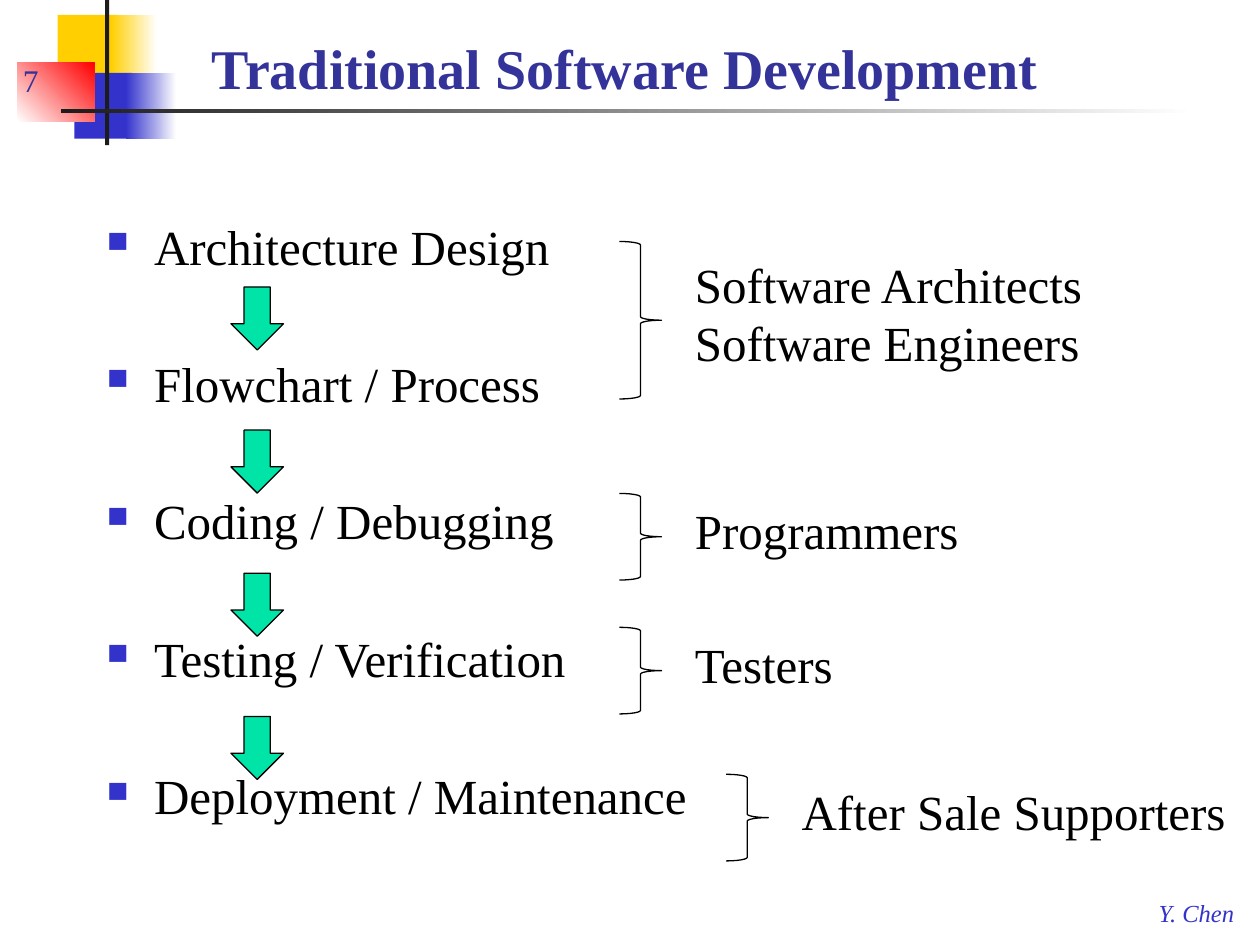
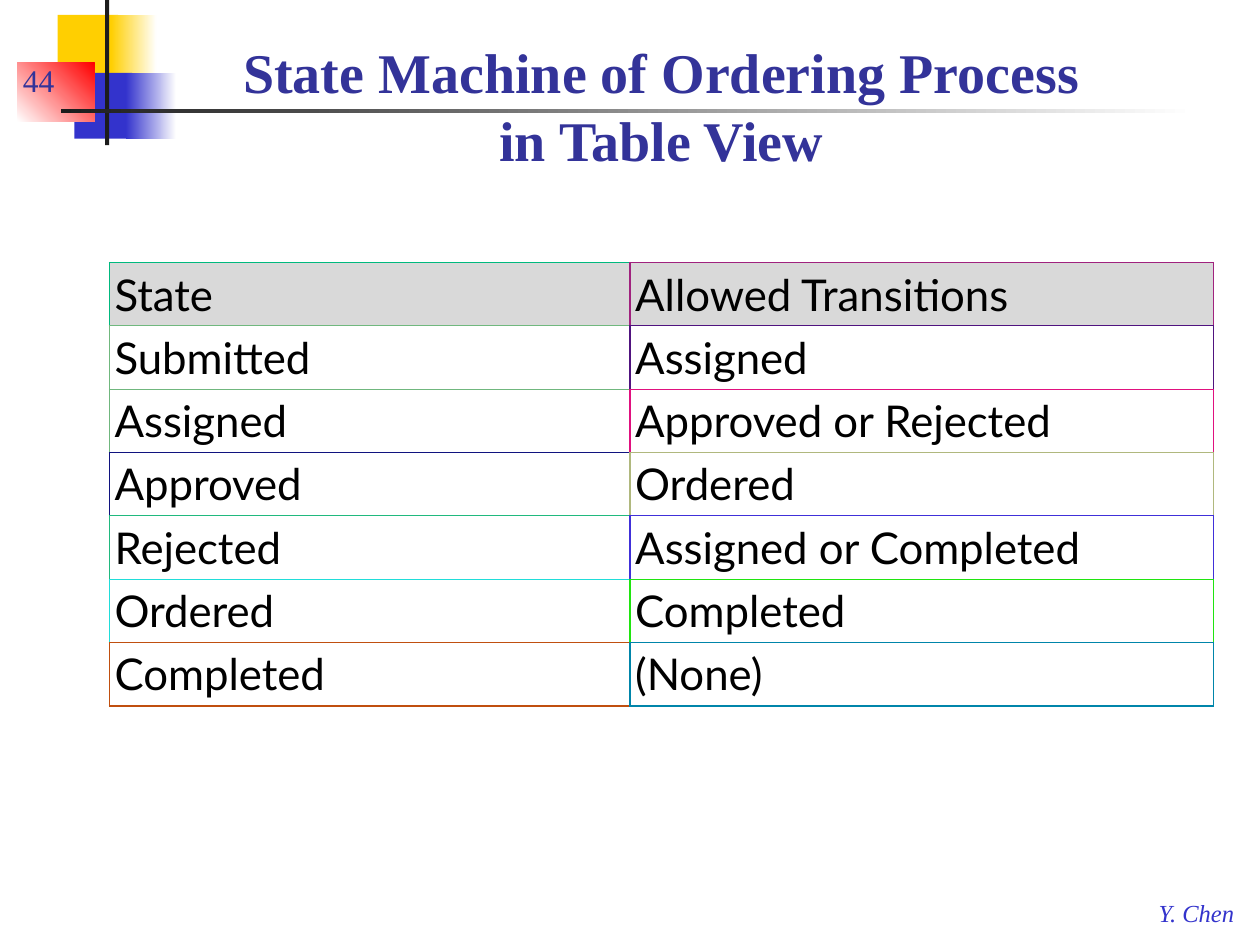
from lxml import etree
from pptx import Presentation
from pptx.dml.color import RGBColor
from pptx.enum import shapes, text
from pptx.oxml import ns
from pptx.util import Pt

COLORS = {
    "yellow": "FFCF01", "blue": "3333CC", "red": "FF0000", "white": "FFFFFF",
    "ink": "1C1C1C", "title": "333399", "black": "000000",
    "arrow": "00E4A8", "header": "D9D9D9",
}
SERIF, SANS = "Times New Roman", "Lato"
LINE_HEIGHT, INSET = 33.7, 3.6
PRESET = shapes.MSO_SHAPE


def add_preset(slide, preset, at, fill=None, line=None, angle=0):
    """Add a preset shape; fill is a colour name, a pair of names (gradient) or None."""
    shape = slide.shapes.add_shape(preset, *map(Pt, at))
    shape.shadow.inherit = False
    if fill is None:
        shape.fill.background()
    elif isinstance(fill, tuple):
        shape.fill.gradient()
        shape.fill.gradient_angle = angle
        for stop, name in zip(shape.fill.gradient_stops, fill):
            stop.color.rgb = RGBColor.from_string(COLORS[name])
    else:
        shape.fill.solid()
        shape.fill.fore_color.rgb = RGBColor.from_string(COLORS[fill])
    if line:
        shape.line.color.rgb = RGBColor.from_string(COLORS[line])
        shape.line.width = Pt(0.75)
    else:
        shape.line.fill.background()


def add_text(slide, at, lines, size, color="black", wrap=False, bottom=False,
             bold=None, italic=None, align=None):
    """Add a text box with one paragraph per line and return its paragraphs."""
    frame = slide.shapes.add_textbox(*map(Pt, at)).text_frame
    frame.word_wrap = wrap
    frame.auto_size = (text.MSO_AUTO_SIZE.NONE if wrap
                       else text.MSO_AUTO_SIZE.SHAPE_TO_FIT_TEXT)
    frame.vertical_anchor = text.MSO_ANCHOR.BOTTOM if bottom else text.MSO_ANCHOR.TOP
    for i, line in enumerate(lines):
        paragraph = frame.add_paragraph() if i else frame.paragraphs[0]
        paragraph.text = line
        paragraph.alignment = align
        font = paragraph.font
        font.name, font.size, font.bold, font.italic = SERIF, Pt(size), bold, italic
        font.color.rgb = RGBColor.from_string(COLORS[color])
    return frame.paragraphs


prs = Presentation()
prs.slide_width, prs.slide_height = Pt(720), Pt(540)

# Shared decoration, page number, author and title
DECORATION = [
    ((33, 8.5, 34.5, 37.5), "yellow", 0),
    ((63.5, 8.5, 26, 37.5), ("yellow", "white"), 0),
    ((42.5, 41.7, 33, 37.5), "blue", 0),
    ((72, 41.7, 28.8, 37.5), ("blue", "white"), 0),
    ((10, 36, 44, 33.5), ("white", "red"), 45),
    ((60, 0, 2.4, 83), "ink", 0),
    ((34.8, 62.2, 648, 2.2), ("ink", "white"), 0),
]
PAGES = [
    ("7", "Traditional Software Development", (114, 12, 600, 49), None),
    ("44", "State Machine of Ordering Process\nin Table View", (78, 6, 600, 96),
     text.PP_ALIGN.CENTER),
]
slides = []
for number, title, title_at, align in PAGES:
    slide = prs.slides.add_slide(prs.slide_layouts[6])
    slides.append(slide)
    for at, fill, angle in DECORATION:
        add_preset(slide, PRESET.RECTANGLE, at, fill, angle=angle)
    add_text(slide, (655, 509.8, 59, 24), ["Y. Chen"], 14, "blue", italic=True)
    add_text(slide, title_at, [title], 32, "title", wrap=True, bottom=True,
             bold=True, align=align)
    add_text(slide, (6, 24, 56, 36), [number], 18, "title", wrap=True, bottom=True)
development, ordering = slides

# Development steps, with arrows between them
STEPS = ["Architecture Design", "Flowchart / Process", "Coding / Debugging",
         "Testing / Verification", "Deployment / Maintenance"]
STEP_GAP = 5.6
steps = add_text(development, (54, 120, 651, 363), STEPS, 28, wrap=True)
for i, step in enumerate(steps):
    step.space_before = Pt(LINE_HEIGHT + 2 * STEP_GAP if i else STEP_GAP)
    props = step._p.get_or_add_pPr()
    props.set("marL", str(Pt(27)))
    props.set("indent", str(-Pt(27)))
    bullet_color = etree.Element(ns.qn("a:buClr"))
    etree.SubElement(bullet_color, ns.qn("a:srgbClr"), val=COLORS["blue"])
    bullet_size = etree.Element(ns.qn("a:buSzPct"), val="60000")
    bullet = etree.Element(ns.qn("a:buChar"), char="■")
    font_props = props.find(ns.qn("a:defRPr"))
    for part in (bullet_color, bullet_size, bullet):
        font_props.addprevious(part)
for i in range(len(STEPS) - 1):
    add_preset(development, PRESET.DOWN_ARROW, (132, 164 + 81.8 * i, 30, 36),
               "arrow", "black")

# Roles, each beside a brace: left, top, height, text width
ROLES = [
    (354, 138, 90, 237, ["Software Architects", "Software Engineers"]),
    (354, 282, 49.5, 167, ["Programmers"]),
    (354, 358.5, 49.5, 94, ["Testers"]),
    (415, 442.5, 49.5, 259, ["After Sale Supporters"]),
]
for left, top, height, width, roles in ROLES:
    add_preset(development, PRESET.RIGHT_BRACE, (left, top, 24, height), line="black")
    role_height = 2 * INSET + LINE_HEIGHT * len(roles)
    role_top = top + (height - role_height) / 2 - 4
    add_text(development, (left + 36, role_top, width, role_height), roles, 28)

# Transition table; every row ends with the border colours of its two cells
TRANSITIONS = [
    ("State", "Allowed Transitions", "00B97E", "A0227E"),
    ("Submitted", "Assigned", "70B87E", "50137F"),
    ("Assigned", "Approved or Rejected", "70B77E", "E0117F"),
    ("Approved", "Ordered", "10137F", "B0B87E"),
    ("Rejected", "Assigned or Completed", "20B97E", "4030D9"),
    ("Ordered", "Completed", "20DDD9", "20E410"),
    ("Completed", "(None)", "C04F0F", "0085AA"),
]
COLUMN_WIDTHS = (297.5, 333.5)
ROW_HEIGHT = 36.2
last = len(TRANSITIONS) - 1
table = ordering.shapes.add_table(
    len(TRANSITIONS), 2, Pt(62.5), Pt(150), Pt(sum(COLUMN_WIDTHS)),
    Pt(ROW_HEIGHT * len(TRANSITIONS))).table
table.first_row = table.horz_banding = False
for column, width in zip(table.columns, COLUMN_WIDTHS):
    column.width = Pt(width)
for r, (*words, left_color, right_color) in enumerate(TRANSITIONS):
    table.rows[r].height = Pt(ROW_HEIGHT)
    for c, word in enumerate(words):
        cell = table.cell(r, c)
        cell.margin_left = cell.margin_right = Pt(3)
        cell.margin_top = cell.margin_bottom = Pt(3)
        cell.vertical_anchor = text.MSO_ANCHOR.TOP if r else text.MSO_ANCHOR.MIDDLE
        paragraph = cell.text_frame.paragraphs[0]
        paragraph.text = word
        paragraph.font.name, paragraph.font.size = SANS, Pt(25)
        paragraph.font.color.rgb = RGBColor.from_string(COLORS["black"])

        # An inner edge takes the colour of the cell that follows it
        own = (left_color, right_color)[c]
        below = TRANSITIONS[min(r + 1, last)][2 + c]
        edges = {"a:lnL": own, "a:lnR": right_color, "a:lnT": own, "a:lnB": below}
        cell_props = cell._tc.get_or_add_tcPr()
        for tag, color in edges.items():
            edge = etree.SubElement(cell_props, ns.qn(tag), w=str(Pt(0.75)))
            edge_fill = etree.SubElement(edge, ns.qn("a:solidFill"))
            etree.SubElement(edge_fill, ns.qn("a:srgbClr"), val=color)
        if r:
            cell.fill.background()
        else:
            cell.fill.solid()
            cell.fill.fore_color.rgb = RGBColor.from_string(COLORS["header"])

prs.save("out.pptx")
